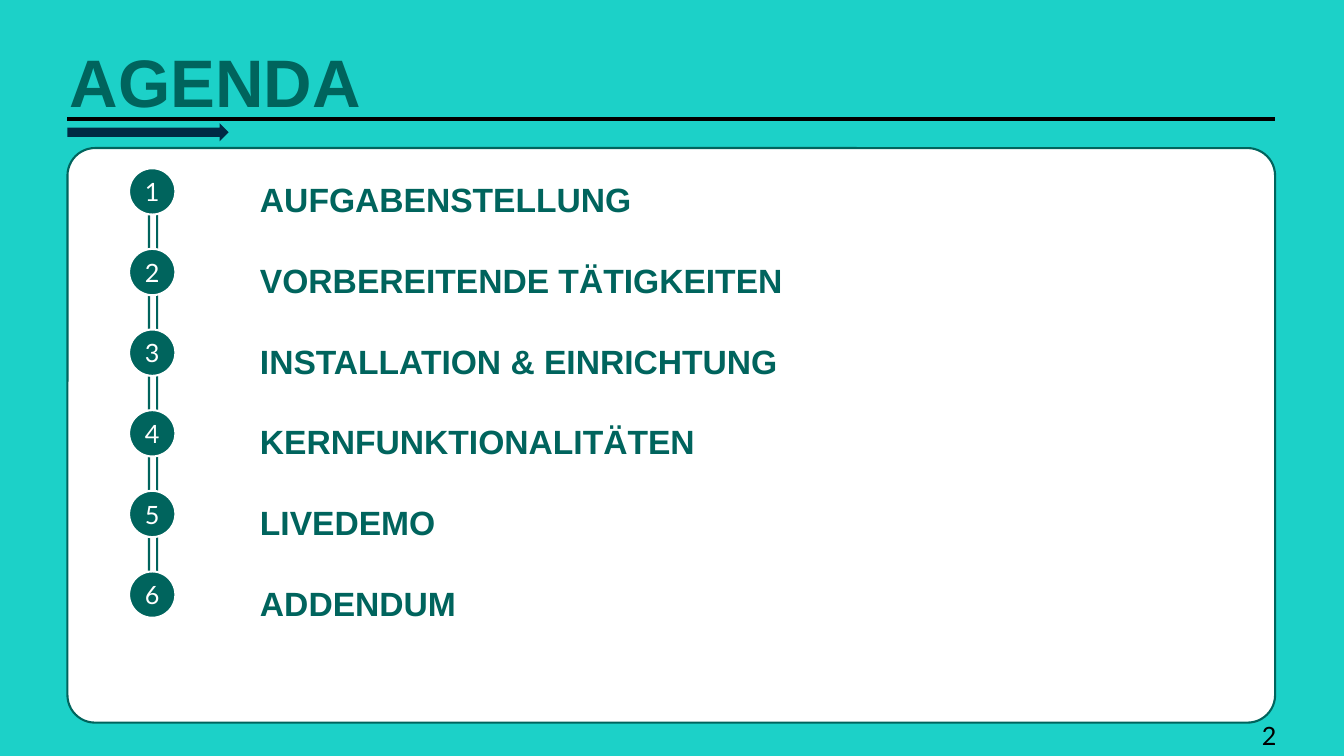
from dataclasses import dataclass

from pptx import Presentation
from pptx.dml.color import RGBColor
from pptx.enum.shapes import MSO_CONNECTOR, MSO_SHAPE
from pptx.enum.text import MSO_ANCHOR, MSO_AUTO_SIZE, PP_ALIGN
from pptx.oxml.ns import qn
from pptx.util import Pt


@dataclass(frozen=True)
class Theme:
    background: str = "1CD1C8"
    green: str = "00645D"
    navy: str = "002A44"
    white: str = "FFFFFF"
    black: str = "000000"
    heading_font: str = "Arial"
    number_font: str = "Lato"
    title_size: float = 48
    item_size: float = 24
    number_size: float = 18
    outline: float = 1.5
    rule: float = 2.75


@dataclass(frozen=True)
class Box:
    left: float
    top: float
    width: float
    height: float

    def lengths(self):
        return [Pt(v) for v in (self.left, self.top, self.width, self.height)]


THEME = Theme()
TOPICS = [
    "AUFGABENSTELLUNG",
    "VORBEREITENDE TÄTIGKEITEN",
    "INSTALLATION & EINRICHTUNG",
    "KERNFUNKTIONALITÄTEN",
    "LIVEDEMO",
    "ADDENDUM",
]


def apply(target, formats):
    for name, value in formats.items():
        setattr(target, name, value)


def write(frame, lines, font, size, color, bold=False, line_spacing=1.0,
          align=PP_ALIGN.LEFT, **frame_formats):
    apply(frame, {"word_wrap": True, "auto_size": MSO_AUTO_SIZE.NONE,
                  "vertical_anchor": MSO_ANCHOR.TOP, **frame_formats})
    frame.text = "\n".join(lines)
    for paragraph in frame.paragraphs:
        apply(paragraph, {"alignment": align, "line_spacing": line_spacing,
                          "space_before": Pt(0)})
        apply(paragraph.font, {"name": font, "size": Pt(size), "bold": bold})
        paragraph.font.color.rgb = RGBColor.from_string(color)


def add_filled(slide, preset, box, fill, outline=None):
    shape = slide.shapes.add_shape(preset, *box.lengths())
    shape.shadow.inherit = False
    shape.fill.solid()
    shape.fill.fore_color.rgb = RGBColor.from_string(fill)
    if outline:
        shape.line.color.rgb = RGBColor.from_string(outline)
        shape.line.width = Pt(THEME.outline)
    else:
        shape.line.fill.background()
    return shape


def add_header(slide, box):
    heading = slide.shapes.title
    apply(heading, dict(zip(("left", "top", "width", "height"),
                            Box(box.left - 5.7, box.top, 480, 65.5).lengths())))
    write(heading.text_frame, ["AGENDA"], THEME.heading_font, THEME.title_size,
          THEME.green, bold=True)

    rule_y = Pt(box.top + box.height)
    rule = slide.shapes.add_connector(
        MSO_CONNECTOR.STRAIGHT, Pt(box.left), rule_y, Pt(box.left + box.width), rule_y)
    rule.line.color.rgb = RGBColor.from_string(THEME.black)
    rule.line.width = Pt(THEME.rule)
    properties = rule._element.spPr
    properties.append(properties.makeelement(qn("a:effectLst"), {}))

    add_filled(slide, MSO_SHAPE.RIGHT_ARROW,
               Box(box.left, box.top + box.height + 3, 115.2, 13), THEME.navy)


def add_timeline(slide, box):
    diameter = box.width
    pitch = (box.height - diameter) / (len(TOPICS) - 1)
    add_filled(slide, MSO_SHAPE.ROUNDED_RECTANGLE,
               Box(box.left + diameter / 2 - 2.3, box.top + 9.4, 5.8, box.height - 16),
               THEME.white, THEME.green)
    for index in range(len(TOPICS)):
        marker = add_filled(slide, MSO_SHAPE.OVAL,
                            Box(box.left, box.top + index * pitch, diameter, diameter),
                            THEME.green, THEME.white)
        write(marker.text_frame, [str(index + 1)], THEME.number_font,
              THEME.number_size, THEME.white, align=PP_ALIGN.CENTER,
              vertical_anchor=MSO_ANCHOR.MIDDLE, margin_left=0, margin_right=0,
              margin_top=0, margin_bottom=0)


def add_agenda(slide, box):
    panel = add_filled(slide, MSO_SHAPE.ROUNDED_RECTANGLE, box, THEME.white, THEME.green)
    panel.adjustments[0] = 0.048
    add_timeline(slide, Box(box.left + 44, box.top + 14.4, 33.1, 321.1))
    topics = slide.shapes.add_textbox(
        *Box(box.left + 58.3, box.top - 10, 831.6, 405.4).lengths())
    write(topics.text_frame, TOPICS, THEME.heading_font, THEME.item_size,
          THEME.green, bold=True, line_spacing=2.0, margin_left=Pt(79.2))


def add_page_number(slide, box):
    number = slide.shapes.add_textbox(*box.lengths())
    write(number.text_frame, ["2"], THEME.number_font, THEME.number_size, THEME.black)


def main():
    presentation = Presentation()
    apply(presentation, {"slide_width": Pt(960), "slide_height": Pt(540)})
    slide = presentation.slides.add_slide(presentation.slide_layouts[5])
    slide.background.fill.solid()
    slide.background.fill.fore_color.rgb = RGBColor.from_string(THEME.background)
    add_header(slide, Box(48.2, 25.2, 862.6, 59.8))
    add_agenda(slide, Box(48.2, 105.8, 862.6, 410.4))
    add_page_number(slide, Box(894.2, 511.2, 65.5, 28.8))
    presentation.save("out.pptx")


if __name__ == "__main__":
    main()
